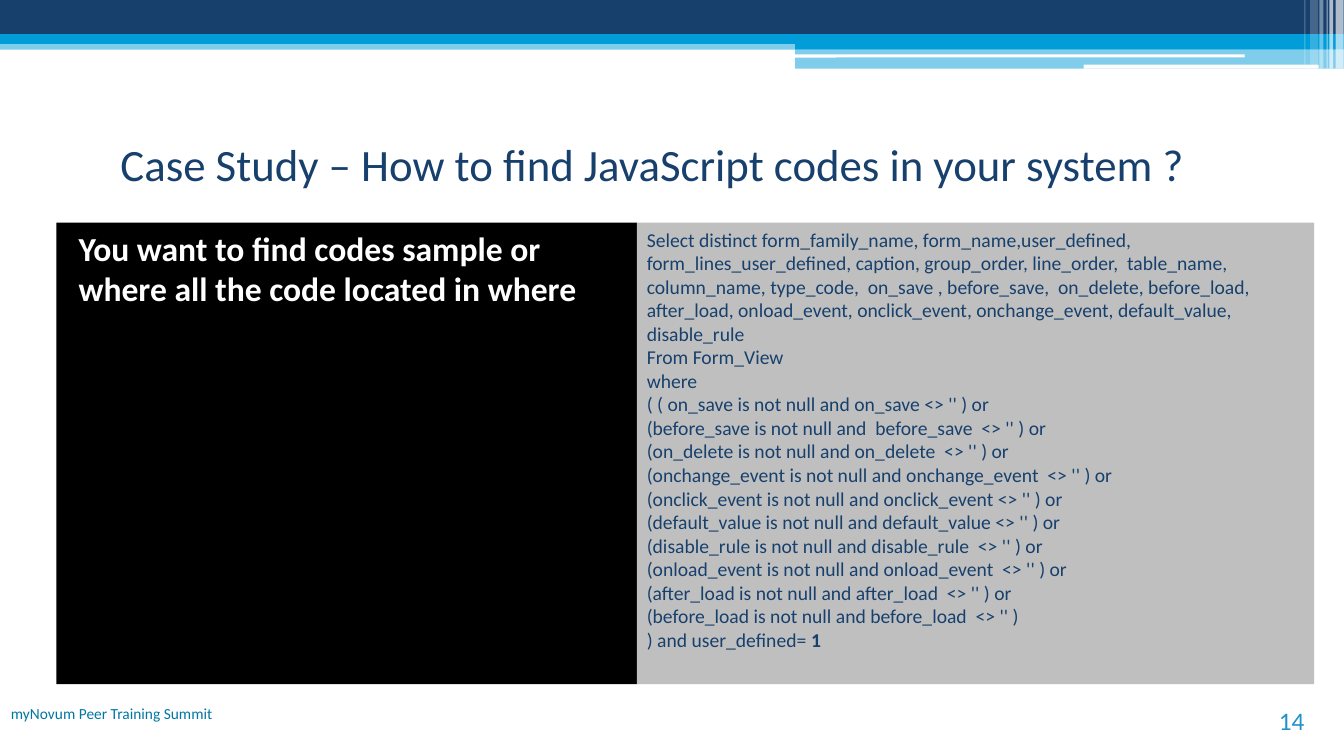
from lxml import etree
from pptx import Presentation
from pptx.dml.color import RGBColor
from pptx.enum.shapes import MSO_SHAPE
from pptx.enum.text import MSO_ANCHOR, PP_ALIGN
from pptx.oxml.ns import qn
from pptx.util import Cm, Pt

RECTANGLE = MSO_SHAPE.RECTANGLE
ROUNDED = MSO_SHAPE.ROUNDED_RECTANGLE
TOP, MIDDLE, BOTTOM = MSO_ANCHOR.TOP, MSO_ANCHOR.MIDDLE, MSO_ANCHOR.BOTTOM
LEFT, CENTER, RIGHT = PP_ALIGN.LEFT, PP_ALIGN.CENTER, PP_ALIGN.RIGHT

WIDTH, HEIGHT = 33.87, 19.05
NAVY, BLUE, WHITE, BLACK, GRAY = "17406D", "009DD9", "FFFFFF", "000000", "BFBFBF"
FOOTER_BLUE, NUMBER_BLUE = "0076A3", "2191C9"

BANDS = [
    (0, 1.02, WIDTH, 0.23, BLUE, 50),
    (0, 0, WIDTH, 0.86, NAVY, 100),
    (0, 0.86, WIDTH, 0.25, BLUE, 100),
    (20.04, 0.99, 13.83, 0.25, BLUE, 100),
    (20.04, 1.22, 13.83, 0.51, BLUE, 50),
]
HIGHLIGHTS = [(20.02, 1.37, 11.35, 0.08), (27.31, 1.63, 5.92, 0.1)]
STRIPES = [
    (33.66, 0.2, 1.73, 65),
    (33.5, 0.1, 1.73, 65),
    (33.43, 0.03, 1.73, 60),
    (33.25, 0.1, 1.73, 40),
    (33.02, 0.2, 1.63, 20),
    (32.87, 0.03, 1.63, 30),
]
QUERY = [
    "Select distinct form_family_name, form_name,user_defined, form_lines_user_defined, "
    "caption, group_order, line_order,  table_name, column_name, type_code,  on_save , "
    "before_save,  on_delete, before_load, after_load, onload_event, onclick_event, "
    "onchange_event, default_value,  disable_rule",
    "From Form_View",
    "where",
    "( ( on_save is not null and on_save <> '' ) or",
    "(before_save is not null and  before_save  <> '' ) or",
    "(on_delete is not null and on_delete  <> '' ) or",
    "(onchange_event is not null and onchange_event  <> '' ) or",
    "(onclick_event is not null and onclick_event <> '' ) or",
    "(default_value is not null and default_value <> '' ) or",
    "(disable_rule is not null and disable_rule  <> '' ) or",
    "(onload_event is not null and onload_event  <> '' ) or",
    "(after_load is not null and after_load  <> '' ) or",
    "(before_load is not null and before_load  <> '' )",
    ") and user_defined= ",
]


def color(value):
    return RGBColor.from_string(value)


class SlideBuilder:
    """Draws styled elements on the current slide, with lengths in centimetres."""

    def __init__(self, slide, font_name):
        self.slide = slide
        self.font_name = font_name

    def block(self, left, top, width, height, fill, opacity=100, kind=RECTANGLE):
        shape = self.slide.shapes.add_shape(kind, Cm(left), Cm(top), Cm(width), Cm(height))
        shape.shadow.inherit = False
        shape.line.fill.background()
        shape.fill.solid()
        shape.fill.fore_color.rgb = color(fill)
        if opacity < 100:
            color_element = shape.element.spPr.find(qn("a:solidFill"))[0]
            alpha = etree.SubElement(color_element, qn("a:alpha"))
            alpha.set("val", str(opacity * 1000))
        return shape

    def fill_text(self, shape, lines, size, ink, align=LEFT, anchor=TOP, bold=False):
        frame = shape.text_frame
        frame.word_wrap = True
        frame.vertical_anchor = anchor
        frame.text = "\n".join(lines)
        for paragraph in frame.paragraphs:
            paragraph.alignment = align
            paragraph.font.name = self.font_name
            paragraph.font.size = Pt(size)
            paragraph.font.bold = bold
            paragraph.font.color.rgb = color(ink)
        return frame

    def label(self, left, top, width, height, text, size, ink, align, anchor=TOP):
        box = self.slide.shapes.add_textbox(Cm(left), Cm(top), Cm(width), Cm(height))
        self.fill_text(box, [text], size, ink, align, anchor)


def main():
    presentation = Presentation()
    presentation.slide_width, presentation.slide_height = Cm(WIDTH), Cm(HEIGHT)
    slide = presentation.slides.add_slide(presentation.slide_layouts[6])
    builder = SlideBuilder(slide, "Calibri")

    for band in BANDS:
        builder.block(*band)
    for highlight in HIGHLIGHTS:
        builder.block(*highlight, WHITE, kind=ROUNDED)
    for left, width, height, opacity in STRIPES:
        builder.block(left, 0, width, height, WHITE, opacity)

    builder.label(1.42, 2.64, 30.05, 2.97,
                  "Case Study – How to find JavaScript codes in your system ?",
                  32, NAVY, CENTER, MIDDLE)

    question = builder.block(1.42, 5.61, 14.63, 11.63, BLACK)
    frame = builder.fill_text(
        question, ["You want to find codes sample or where all the code located in where"],
        24, WHITE, bold=True)
    frame.margin_left = Cm(0.56)

    builder.label(0, 17.63, 5.61, 1.27, "myNovum Peer Training Summit", 11, FOOTER_BLUE, RIGHT)
    builder.label(30.3, 17.65, 2.82, 1.02, "14", 18, NUMBER_BLUE, RIGHT, BOTTOM)

    query = builder.block(16.05, 5.61, 17.07, 11.63, GRAY)
    frame = builder.fill_text(query, QUERY, 14, NAVY)
    flag = frame.paragraphs[-1].add_run()
    flag.text = "1"
    flag.font.bold = True

    presentation.save("out.pptx")


if __name__ == "__main__":
    main()
